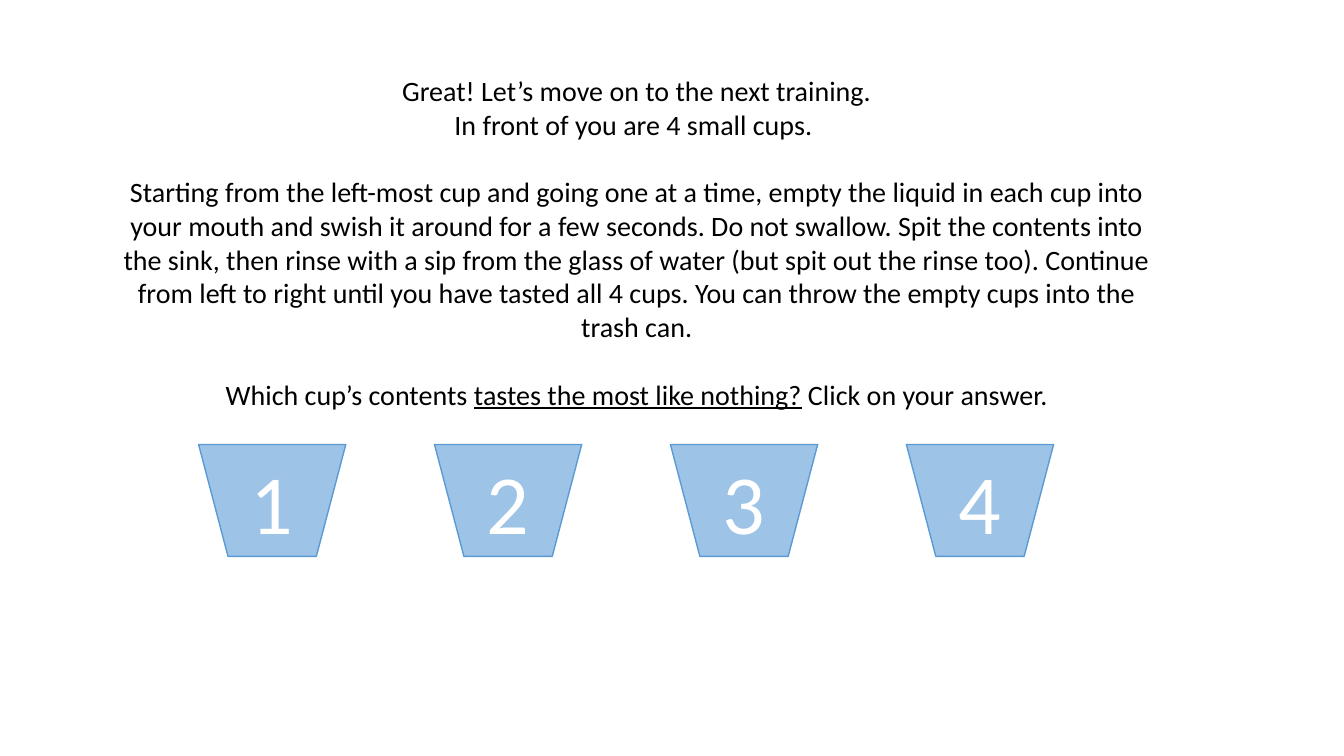
from pptx import Presentation
from pptx.dml.color import RGBColor
from pptx.enum import shapes, text
from pptx.util import Inches, Pt


def paint(color, code):
    color.rgb = RGBColor.from_string(code)


def write(para, words, size=20, color="000000", line=False, gap=0):
    para.alignment = text.PP_ALIGN.CENTER
    if gap:
        para.space_before = Pt(gap)
    run = para.add_run()
    run.text = words
    font = run.font
    font.name, font.size, font.underline = "Calibri", Pt(size), line
    paint(font.color, color)


def add_guide(slide, left, top, width, height):
    box = slide.shapes.add_textbox(*map(Inches, (left, top, width, height)))
    frame = box.text_frame
    frame.word_wrap = True
    # One line of space sets the paragraph groups apart
    gap = 24.4
    write(frame.paragraphs[0], "Great! Let’s move on to the next training.")
    write(frame.add_paragraph(), "In front of you are 4 small cups. ")
    write(frame.add_paragraph(),
          "Starting from the left-most cup and going one at a time, empty the "
          "liquid in each cup into your mouth and swish it around for a few "
          "seconds. Do not swallow. Spit the contents into the sink, then rinse "
          "with a sip from the glass of water (but spit out the rinse too). "
          "Continue from left to right until you have tasted all 4 cups. You can "
          "throw the empty cups into the trash can.", gap=gap)
    ask = frame.add_paragraph()
    write(ask, "Which cup’s contents ", gap=gap)
    write(ask, "tastes the most like nothing?", line=True)
    write(ask, " Click on your answer.")


def add_cups(slide, left, top, width, height, count=4, wide=1.46):
    step = (width - wide) / (count - 1)
    for i in range(count):
        cup = slide.shapes.add_shape(
            shapes.MSO_SHAPE.FLOWCHART_MANUAL_OPERATION,
            *map(Inches, (left + i * step, top, wide, height)))
        cup.shadow.inherit = False
        cup.fill.solid()
        paint(cup.fill.fore_color, "9DC3E6")
        paint(cup.line.color, "5B9BD5")
        cup.line.width = Pt(1)
        frame = cup.text_frame
        frame.vertical_anchor = text.MSO_ANCHOR.MIDDLE
        write(frame.paragraphs[0], str(i + 1), size=60, color="FFFFFF")


deck = Presentation()
deck.slide_width, deck.slide_height = Inches(13.33), Inches(7.5)
slide = deck.slides.add_slide(deck.slide_layouts[6])

# Instructions, then the row of answer cups
add_guide(slide, 1.1, 0.68, 10.43, 3.47)
add_cups(slide, 1.97, 4.41, 8.48, 1.11)

deck.save("out.pptx")
